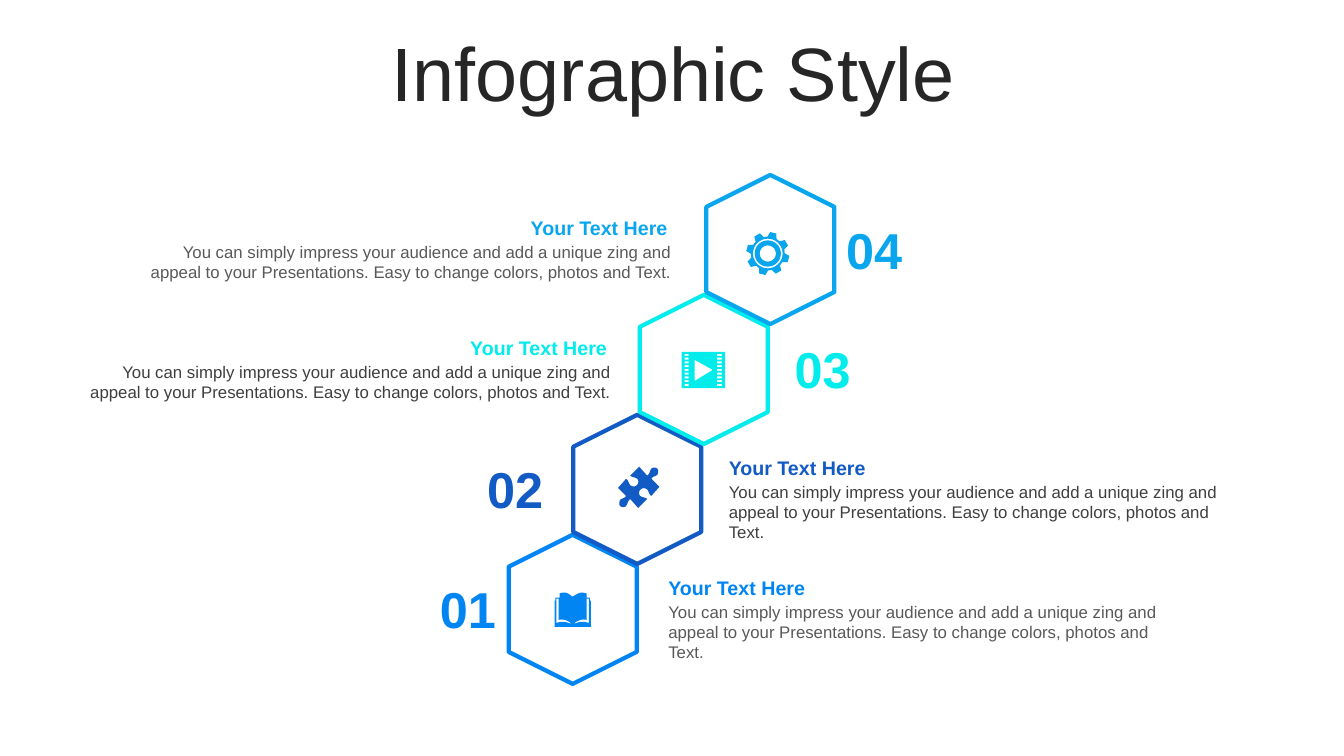
"""Build a slide with four stacked hexagon steps."""
from dataclasses import dataclass
from math import cos, radians, sin

from pptx import Presentation
from pptx.dml.color import RGBColor
from pptx.enum.shapes import MSO_SHAPE
from pptx.enum.text import MSO_ANCHOR, PP_ALIGN
from pptx.util import Inches, Pt


@dataclass(frozen=True)
class Theme:
    """Hold the colours, font and type sizes."""
    font: str = "Arial"
    title: str = "262626"
    white: str = "FFFFFF"
    gray: str = "595959"
    dark: str = "3F3F3F"
    blue: str = "0085F2"
    navy: str = "125AC4"
    aqua: str = "02ECEC"
    sky: str = "0AA6ED"
    huge: int = 54
    large: int = 36
    head: int = 14
    body: int = 12
    edge: int = 3


THEME = Theme()
HEAD = "Your Text Here"
BODY = ("You can simply impress your audience and add a unique zing and "
        "appeal to your Presentations. Easy to change colors, photos and Text.")
BASE, RISE = 5.41, 1.19
LEFT, MID, RIGHT = PP_ALIGN.LEFT, PP_ALIGN.CENTER, PP_ALIGN.RIGHT


def apply(item, look):
    """Set each value of a format dict on an object."""
    for name, value in look.items():
        setattr(item, name, value)


def place(item, left, top, width, height):
    """Move and size a shape in inches."""
    names = ("left", "top", "width", "height")
    apply(item, dict(zip(names, map(Inches, (left, top, width, height)))))


def write(frame, text, size, color, align, bold=False):
    """Put one styled paragraph in a text frame."""
    frame.word_wrap = True
    line = frame.paragraphs[0]
    line.alignment = align
    run = line.add_run()
    run.text = text
    apply(run.font, {"name": THEME.font, "size": Pt(size), "bold": bold})
    run.font.color.rgb = RGBColor.from_string(color)


def label(slide, box, *look):
    """Add a text box."""
    write(slide.shapes.add_textbox(*map(Inches, box)).text_frame, *look)


def paint(shape, fill, edge=None):
    """Give a shape a flat fill and an optional outline."""
    shape.shadow.inherit = False
    shape.fill.solid()
    shape.fill.fore_color.rgb = RGBColor.from_string(fill)
    if edge:
        shape.line.color.rgb = RGBColor.from_string(edge)
        shape.line.width = Pt(THEME.edge)
    else:
        shape.line.fill.background()


def hexagon(slide, left, top, color):
    """Add an upright hexagon with a coloured outline."""
    shape = slide.shapes.add_shape(
        MSO_SHAPE.HEXAGON, *map(Inches, (left, top, 1.48, 1.27)))
    shape.adjustments[0] = 0.25
    shape.rotation = 90
    paint(shape, THEME.white, color)


def trace(path, steps=8):
    """Flatten a path of points and six-number curves."""
    dots = [path[0]]
    for part in path[1:]:
        if len(part) == 2:
            dots.append(part)
            continue
        ends = [dots[-1], part[:2], part[2:4], part[4:]]
        for step in range(1, steps + 1):
            t = step / steps
            mix = ((1 - t)**3, 3 * t * (1 - t)**2, 3 * t * t * (1 - t), t**3)
            dots.append(tuple(sum(m * e[axis] for m, e in zip(mix, ends))
                              for axis in (0, 1)))
    return [(Inches(x), Inches(y)) for x, y in dots]


def icon(slide, paths, color):
    """Add one freeform from closed paths, the inner ones as holes."""
    first, *rest = map(trace, paths)
    pen = slide.shapes.build_freeform(*first[0], scale=1.0)
    pen.add_line_segments(first[1:], close=True)
    for dots in rest:
        pen.move_to(*dots[0])
        pen.add_line_segments(dots[1:], close=True)
    paint(pen.convert_to_shape(), color)


def block(left, top, right, low):
    """Return the corners of a rectangle."""
    return [(left, top), (right, top), (right, low), (left, low)]


def book():
    """Return the paths of an open book."""
    cover = [(5.68, 5.92), (5.71, 5.9, 5.74, 5.88, 5.77, 5.88),
             (5.78, 5.88, 5.8, 5.88, 5.82, 5.89), (5.82, 5.93), (5.85, 5.93),
             (5.85, 5.96), (5.86, 5.96), (5.86, 6.22), (5.5, 6.22),
             (5.5, 5.96), (5.51, 5.96), (5.51, 5.93), (5.55, 5.93),
             (5.55, 5.89), (5.56, 5.88, 5.58, 5.88, 5.6, 5.88),
             (5.63, 5.88, 5.65, 5.9, 5.68, 5.92)]
    page = [(5.69, 6.19), (5.75, 6.17, 5.77, 6.16, 5.84, 6.18), (5.84, 5.94),
            (5.82, 5.94), (5.82, 6.15), (5.78, 6.14, 5.73, 6.15, 5.69, 6.19)]
    flip = [tuple(v if n % 2 else 11.36 - v for n, v in enumerate(part))
            for part in page]
    return [cover, page, flip]


def puzzle():
    """Return a puzzle piece as one half and its half turn."""
    half = [(6.53, 4.66, 6.53, 4.69, 6.52, 4.71),
            (6.5, 4.73, 6.48, 4.72, 6.46, 4.75), (6.54, 4.83), (6.46, 4.92),
            (6.43, 4.9, 6.44, 4.87, 6.41, 4.85),
            (6.39, 4.84, 6.37, 4.84, 6.35, 4.86),
            (6.34, 4.87, 6.33, 4.9, 6.35, 4.92),
            (6.38, 4.94, 6.39, 4.93, 6.42, 4.95), (6.33, 5.04), (6.25, 4.95),
            (6.22, 4.98, 6.23, 4.99, 6.21, 5.02),
            (6.19, 5.04, 6.16, 5.03, 6.15, 5.02)]
    turn = [tuple((9.67 if n % 2 else 12.67) - v for n, v in enumerate(part))
            for part in half]
    return [[(6.52, 4.65)] + half + turn]


def film():
    """Return a film frame with side holes and a play mark."""
    holes = [block(left, 3.51 + 0.0375 * row, right, 3.53 + 0.0375 * row)
             for row in range(9) for left, right in ((6.79, 6.83), (7.11, 7.16))]
    play = [(6.89, 3.57), (6.89, 3.78), (7.07, 3.67)]
    return [block(6.76, 3.49, 7.19, 3.85), play] + holes


def spot(size, angle):
    """Return a point around the gear centre."""
    turn = radians(angle)
    return 7.615 + size * cos(turn), 2.515 + size * sin(turn)


def gear():
    """Return a gear of eight teeth with three rings."""
    tooth = ((0.168, -16), (0.215, -8.5), (0.215, 8.5), (0.168, 16))
    rim = [spot(size, 15 + 45 * n + turn) for n in range(8)
           for size, turn in tooth]
    rings = [[spot(size, turn) for turn in range(0, 360, 10)]
             for size in (0.147, 0.13, 0.08)]
    return [rim] + rings


STEPS = (
    ("01", THEME.blue, THEME.gray, 4.94, 4.22, 6.53, LEFT, book),
    ("02", THEME.navy, THEME.dark, 5.58, 4.69, 7.13, LEFT, puzzle),
    ("03", THEME.aqua, THEME.dark, 6.24, 7.74, 0.79, RIGHT, film),
    ("04", THEME.sky, THEME.gray, 6.9, 8.25, 1.39, RIGHT, gear),
)


def step(slide, top, row):
    """Add one step: hexagon, icon, number and text."""
    mark, color, tone, left, side, text, align, draw = row
    wide, slim = (5.37, 5.33) if align == RIGHT else (5.35, 5.3)
    hexagon(slide, left, top, color)
    label(slide, (text, top + 0.51, wide, 0.5), BODY, THEME.body, tone, align)
    label(slide, (text, top + 0.25, slim, 0.34),
          HEAD, THEME.head, color, align, True)
    label(slide, (side, top + 0.28, 0.84, 0.71),
          mark, THEME.large, color, MID, True)
    icon(slide, draw(), color)


def main():
    """Build and save the slide."""
    deck = Presentation()
    apply(deck, {"slide_width": Inches(13.33), "slide_height": Inches(7.5)})
    slide = deck.slides.add_slide(deck.slide_layouts[5])
    title = slide.shapes.title
    place(title, 0.35, 0.37, 12.66, 0.79)
    write(title.text_frame, "Infographic Style", THEME.huge, THEME.title, MID)
    title.text_frame.vertical_anchor = MSO_ANCHOR.MIDDLE
    title.text_frame.paragraphs[0].line_spacing = 0.9
    for n, row in enumerate(STEPS):
        step(slide, BASE - RISE * n, row)
    deck.save("out.pptx")


main()
